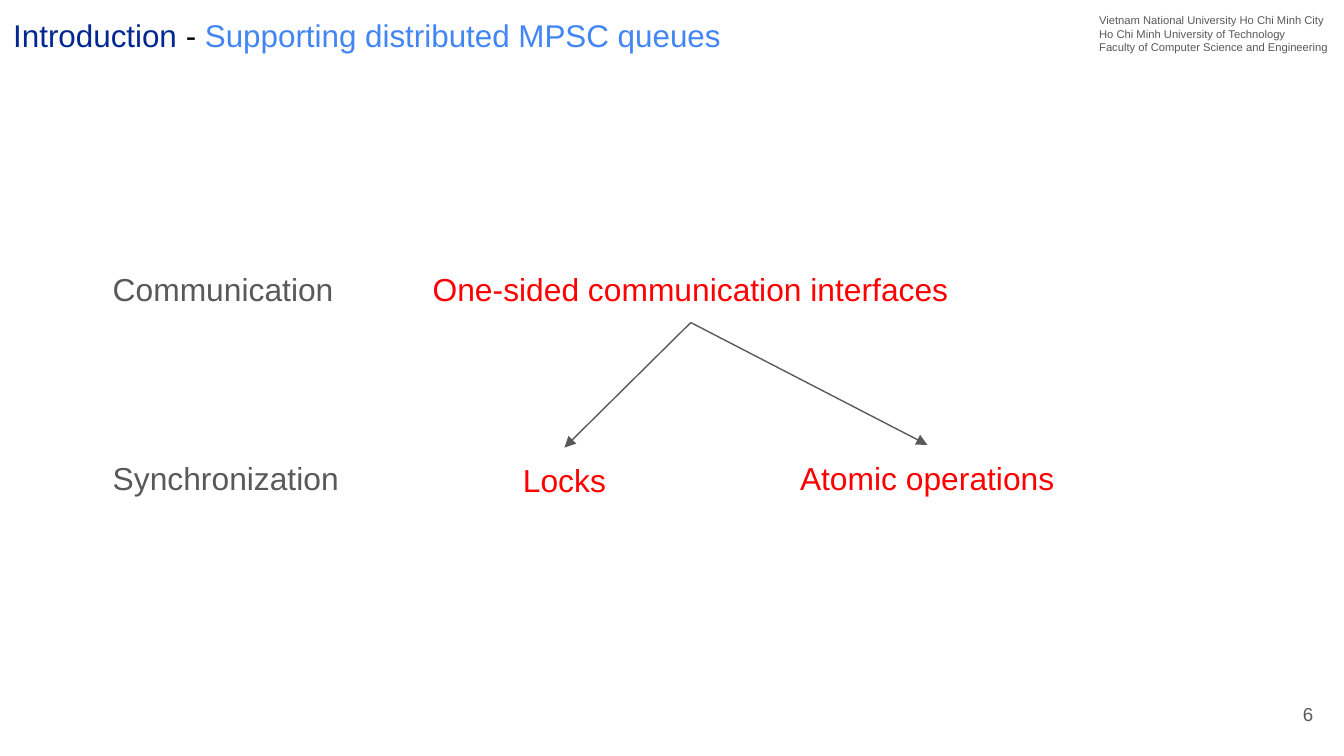
from lxml.etree import SubElement
from pptx import Presentation
from pptx.dml.color import RGBColor
from pptx.enum.shapes import MSO_CONNECTOR
from pptx.enum.text import MSO_ANCHOR, PP_ALIGN
from pptx.oxml.ns import qn
from pptx.util import Inches, Pt

COLORS = {"navy": "002792", "black": "000000", "blue": "4285F4",
          "gray": "595959", "red": "FF0000"}


def add_text(slide, box, lines, size, align=PP_ALIGN.LEFT, anchor=MSO_ANCHOR.TOP):
    """Add a text box whose lines are lists of (text, color) runs."""
    frame = slide.shapes.add_textbox(*map(Inches, box)).text_frame
    form = {"word_wrap": True, "vertical_anchor": anchor}
    for side in ("left", "top", "right", "bottom"):
        form[f"margin_{side}"] = Inches(0.1)
    for name, value in form.items():
        setattr(frame, name, value)
    for index, line in enumerate(lines):
        para = frame.add_paragraph() if index else frame.paragraphs[0]
        para.alignment = align
        for text, color in line:
            run = para.add_run()
            run.text = text
            for name, value in {"name": "Arial", "size": Pt(size)}.items():
                setattr(run.font, name, value)
            run.font.color.rgb = RGBColor.from_string(COLORS[color])


def add_arrow(slide, start, end):
    """Add a thin gray line with a triangle at its end."""
    line = slide.shapes.add_connector(
        MSO_CONNECTOR.STRAIGHT, *map(Inches, (*start, *end)))
    line.line.width = Pt(0.75)
    line.line.color.rgb = RGBColor.from_string(COLORS["gray"])
    props = line._element.spPr
    SubElement(props.find(qn("a:ln")), qn("a:tailEnd"), type="triangle")
    SubElement(props, qn("a:effectLst"))


def add_header(slide, left, top, width, height):
    """Place the title at the left and the school at the right."""
    title = [("Introduction ", "navy"), ("- ", "black"),
             ("Supporting distributed MPSC queues", "blue")]
    add_text(slide, (left, top, 7.16, height), [title], 16.8,
             anchor=MSO_ANCHOR.BOTTOM)
    school = ["Vietnam National University Ho Chi Minh City",
              "Ho Chi Minh University of Technology",
              "Faculty of Computer Science and Engineering"]
    add_text(slide, (left + width - 1.92, top, 1.92, height),
             [[(line, "gray")] for line in school], 6)


def add_tree(slide, left, top, width, height):
    """Place the row labels, the root, its branches and the arrows."""
    row = 0.49
    low = top + height - row
    for text, y in (("Communication", top), ("Synchronization", low)):
        add_text(slide, (left, y, 2.09, row), [[(text, "gray")]], 17)
    root = left + 4.4
    span = 8.26
    add_text(slide, (root - span / 2, top, span, row),
             [[("One-sided communication interfaces", "red")]], 17,
             PP_ALIGN.CENTER)
    leaf = 2.38
    leaves = (("Locks", left + 3.46, low + 0.02),
              ("Atomic operations", left + width - leaf / 2, low))
    for text, x, y in leaves:
        add_text(slide, (x - leaf / 2, y, leaf, row), [[(text, "red")]], 17,
                 PP_ALIGN.CENTER)
        add_arrow(slide, (root, top + row), (x, y))


def add_footer(slide, left, top, width, height):
    """Place the page number at the right."""
    add_text(slide, (left, top, width, height), [[("6", "gray")]], 10,
             PP_ALIGN.RIGHT, MSO_ANCHOR.MIDDLE)


def main():
    """Build and save the slide."""
    deck = Presentation()
    for name, value in {"slide_width": 10, "slide_height": 10 * 9 / 16}.items():
        setattr(deck, name, Inches(value))
    slide = deck.slides.add_slide(deck.slide_layouts[6])
    add_header(slide, 0, 0, 10, 0.5)
    add_tree(slide, 0.74, 1.91, 7.35, 1.89)
    add_footer(slide, 9.27, 5.1, 0.6, 0.43)
    deck.save("out.pptx")


if __name__ == "__main__":
    main()
